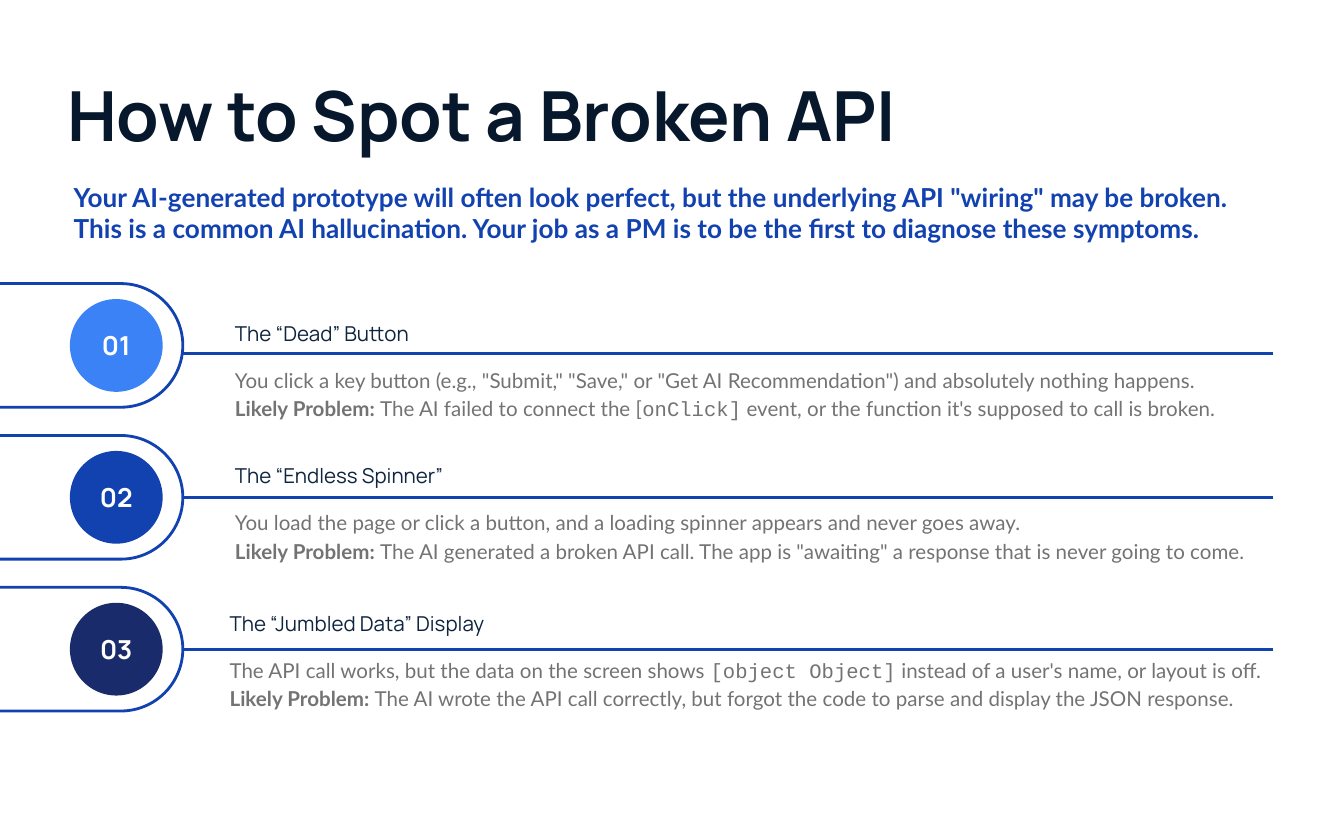
"""Build the slide on three symptoms of a broken API."""
from lxml import etree
from pptx import Presentation
from pptx import util as u
from pptx.dml.color import RGBColor
from pptx.enum import shapes, text
from pptx.oxml.ns import qn

HUES = {"ink": "07182C", "head": "0F243E", "blue": "1241B0", "grey": "737373",
        "white": "FFFFFF", "sky": "3B82F6", "navy": "1A2B6B"}
SANS, BODY, CODE = "Manrope", "Lato", "Courier New"
WIDE, HIGH = 10, 6.25
TOP, STEP = 2.11, 1.13
PILL, DISC = (3.32, 0.92), 0.69
EDGE, RIGHT = 1.36, 9.47

TITLE = "How to Spot a Broken API"
LEAD = ("Your AI-generated prototype will often look perfect, but the underlying "
        "API \"wiring\" may be broken. This is a common AI hallucination. Your job "
        "as a PM is to be the first to diagnose these symptoms.")
LABEL = "Likely Problem: "
ROWS = [
    {"hue": "sky", "rule": 2.63, "left": 1.65, "top": 2.26, "head": "The “Dead” Button",
     "sign": [("You click a key button (e.g., \"Submit,\" \"Save,\" or \"Get AI "
               "Recommendation\") and absolutely nothing happens.", BODY)],
     "cause": [("The AI failed to connect the [", BODY), ("onClick]", CODE),
               (" event, or the function it's supposed to call is broken.", BODY)]},
    {"hue": "blue", "rule": 3.7, "left": 1.65, "top": 3.32, "head": "The “Endless Spinner”",
     "sign": [("You load the page or click a button, and a loading spinner appears "
               "and never goes away.", BODY)],
     "cause": [("The AI generated a broken API call. The app is \"awaiting\" a "
                "response that is never going to come.", BODY)]},
    {"hue": "navy", "rule": 4.83, "left": 1.61, "top": 4.42, "head": "The “Jumbled Data” Display",
     "sign": [("The API call works, but the data on the screen shows ", BODY),
              ("[object Object]", CODE),
              (" instead of a user's name, or layout is off.", BODY)],
     "cause": [("The AI wrote the API call correctly, but forgot the code to parse "
                "and display the JSON response.", BODY)]},
]


def tint(name):
    return RGBColor.from_string(HUES[name])


def write(para, words, size=11, font=BODY, hue="grey", bold=False):
    run = para.add_run()
    run.text = words
    run.font.size, run.font.name, run.font.bold = u.Pt(size), font, bold
    run.font.color.rgb = tint(hue)


def frame(slide, left, top, wide, high, pad=0.1):
    body = slide.shapes.add_textbox(*map(u.Inches, (left, top, wide, high))).text_frame
    body.word_wrap = True
    body.margin_left = body.margin_right = u.Inches(pad)
    body.margin_top = body.margin_bottom = u.Inches(pad)
    return body


def form(slide, kind, left, top, wide, high, fill, line=None):
    item = slide.shapes.add_shape(kind, *map(u.Inches, (left, top, wide, high)))
    item.shadow.inherit = False
    item.fill.solid()
    item.fill.fore_color.rgb = tint(fill)
    if line:
        item.line.color.rgb, item.line.width = tint(line), u.Pt(1.5)
    else:
        item.line.fill.background()
    return item


def rule(slide, y):
    ends = map(u.Inches, (EDGE - PILL[1] / 6, y, RIGHT, y))
    line = slide.shapes.add_connector(shapes.MSO_CONNECTOR.STRAIGHT, *ends)
    line.line.color.rgb, line.line.width = tint("blue"), u.Pt(1.5)
    etree.SubElement(line._element.spPr, qn("a:effectLst"))


def badge(slide, i, row):
    kind = shapes.MSO_SHAPE
    top = TOP + i * STEP
    pill = form(slide, kind.ROUNDED_RECTANGLE, EDGE - PILL[0], top, *PILL, "white", "blue")
    pill.adjustments[0] = 0.5
    inset = (PILL[1] - DISC) / 2
    disc = form(slide, kind.OVAL, 0.52, top + inset, DISC, DISC, row["hue"])
    body = disc.text_frame
    body.vertical_anchor = text.MSO_ANCHOR.MIDDLE
    para = body.paragraphs[0]
    para.alignment = text.PP_ALIGN.CENTER
    write(para, f"{i + 1:02}", size=14, font=SANS, hue="white", bold=True)


def story(slide, row):
    body = frame(slide, row["left"], row["top"], 7.91, 0.96)
    head, para = body.paragraphs[0], body.add_paragraph()
    head.line_spacing = para.line_spacing = 1.15
    para.space_before = para.space_after = u.Pt(10)
    write(head, row["head"], font=SANS, hue="head")
    for words, font in row["sign"]:
        write(para, words, font=font)
    para.add_line_break()
    write(para, LABEL, bold=True)
    for words, font in row["cause"]:
        write(para, words, font=font)


def main():
    deck = Presentation()
    deck.slide_width, deck.slide_height = u.Inches(WIDE), u.Inches(HIGH)
    slide = deck.slides.add_slide(deck.slide_layouts[6])
    title = frame(slide, 0.5, 0.26, 8.88, 1.08, pad=0)
    title.vertical_anchor = text.MSO_ANCHOR.MIDDLE
    title.paragraphs[0].line_spacing = 1.15
    write(title.paragraphs[0], TITLE, size=37, font=SANS, hue="ink", bold=True)
    lead = frame(slide, 0.45, 1.25, 9.08, 0.67)
    write(lead.paragraphs[0], LEAD, size=14, hue="blue", bold=True)
    for i, row in enumerate(ROWS):
        rule(slide, row["rule"])
        badge(slide, i, row)
        story(slide, row)
    deck.save("out.pptx")


if __name__ == "__main__":
    main()
